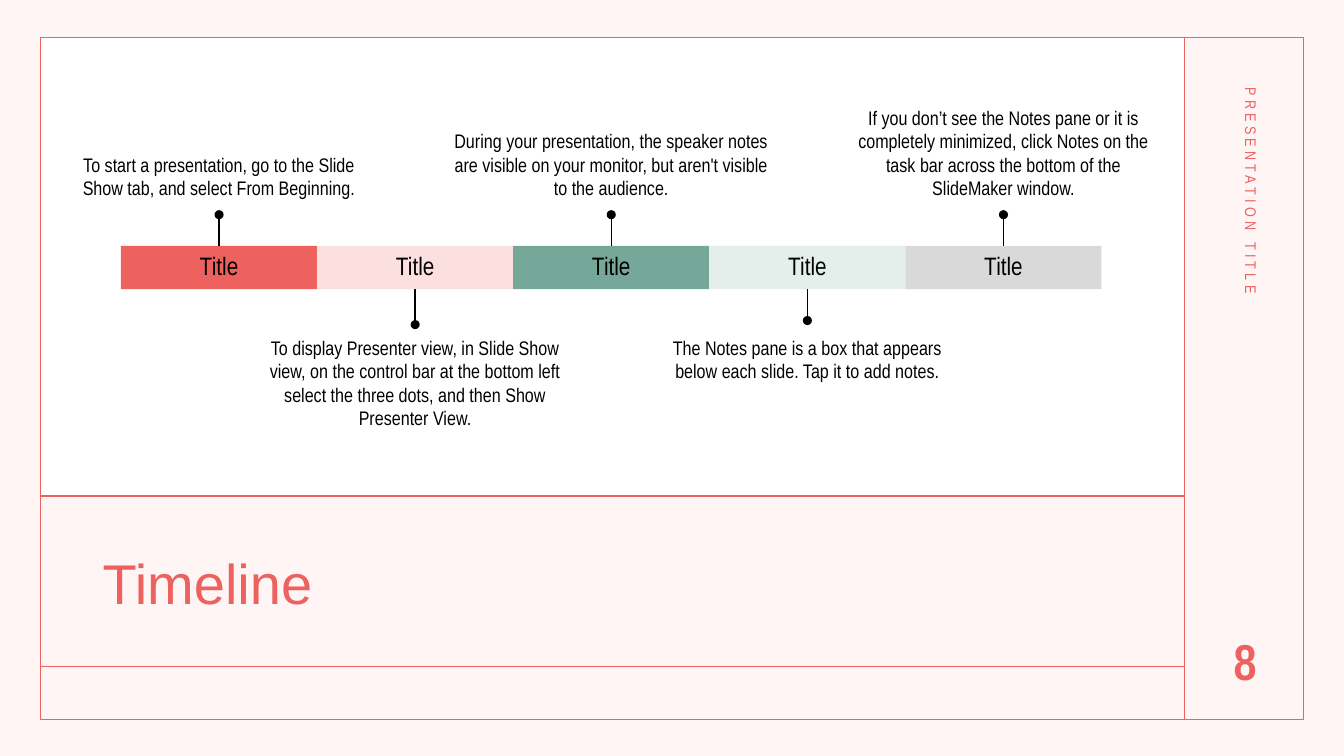
"""Build a slide with a five-step timeline in a ruled frame."""
from lxml import etree
from pptx import Presentation
from pptx.dml.color import RGBColor
from pptx.enum.shapes import MSO_CONNECTOR, MSO_SHAPE
from pptx.enum.text import MSO_ANCHOR, PP_ALIGN
from pptx.oxml.ns import qn
from pptx.util import Inches, Pt

RECT, OVAL = MSO_SHAPE.RECTANGLE, MSO_SHAPE.OVAL
LINE = MSO_CONNECTOR.STRAIGHT
TOP, MID, LOW = MSO_ANCHOR.TOP, MSO_ANCHOR.MIDDLE, MSO_ANCHOR.BOTTOM
LEFT, MIDST = PP_ALIGN.LEFT, PP_ALIGN.CENTER

COLORS = {
    "paper": "FFF5F5", "white": "FFFFFF", "black": "000000",
    "coral": "ED625F", "blush": "FBE0DF", "green": "76A899",
    "mint": "E4EEEB", "gray": "D9D9D9",
}
STEPS = [
    ("coral", 3.24, 2.13,
     "To start a presentation, go to the Slide Show tab, and select From Beginning."),
    ("blush", 3.06, 3.22,
     "To display Presenter view, in Slide Show view, on the control bar at the "
     "bottom left select the three dots, and then Show Presenter View."),
    ("green", 3.24, 2.13,
     "During your presentation, the speaker notes are visible on your monitor, "
     "but aren't visible to the audience."),
    ("mint", 3.24, 3.18,
     "The Notes pane is a box that appears below each slide. Tap it to add notes."),
    ("gray", 3.24, 2.13,
     "If you don’t see the Notes pane or it is completely minimized, click Notes "
     "on the task bar across the bottom of the SlideMaker window."),
]
RULES = [(11.75, 0.37, 11.75, 7.13), (0.41, 4.92, 11.75, 4.92), (0.41, 6.61, 11.75, 6.61)]
START, PITCH, BAR_TOP, BAR_TALL, DOT = 1.2, 1.945, 2.44, 0.43, 0.09


class Painter:
    """Holds the style and the slide being drawn."""

    def __init__(self, slide):
        self.slide = slide
        self.font = "Arial Narrow"
        self.width = Pt(1)
        fill = slide.background.fill
        fill.solid()
        fill.fore_color.rgb = self.color("paper")

    def color(self, name):
        """Return the named colour."""
        return RGBColor.from_string(COLORS[name])

    def shape(self, kind, box, fill=None, line=None):
        """Draw a preset shape."""
        item = self.slide.shapes.add_shape(kind, *map(Inches, box))
        item.shadow.inherit = False
        for part, name in ((item.fill, fill), (item.line.fill, line)):
            if name:
                part.solid()
                part.fore_color.rgb = self.color(name)
            else:
                part.background()
        if line:
            item.line.width = self.width
        return item

    def line(self, ends, color, bar=None, site=0):
        """Draw a straight line, joined to a bar if one is given."""
        item = self.slide.shapes.add_connector(LINE, *map(Inches, ends))
        item.line.color.rgb = self.color(color)
        item.line.width = self.width
        etree.SubElement(item._element.spPr, qn("a:effectLst"))
        if bar is not None:
            item.begin_connect(bar, site)

    def label(self, item, text, size, color="black", align=MIDST, anchor=TOP,
              pad=(0.1, 0.05), lead=1.0, **look):
        """Put formatted text in a shape."""
        frame = item.text_frame
        across, down = map(Inches, pad)
        form = {"word_wrap": True, "vertical_anchor": anchor,
                "margin_left": across, "margin_right": across,
                "margin_top": down, "margin_bottom": down}
        para = frame.paragraphs[0]
        run = para.add_run()
        run.text = text
        run.font.color.rgb = self.color(color)
        font = {"name": self.font, "size": Pt(size), **look}
        for part, values in ((frame, form), (run.font, font),
                             (para, {"alignment": align, "line_spacing": lead})):
            for key, value in values.items():
                setattr(part, key, value)
        return run

    def text(self, box, text, size, turn=0, space=0, **look):
        """Draw a text box."""
        item = self.slide.shapes.add_textbox(*map(Inches, box))
        item.rotation = turn
        run = self.label(item, text, size, **look)
        if space:
            run.font._element.set("spc", str(space * 100))

    def step(self, index, fill, wide, dot, text):
        """Draw one bar of the timeline with its pin and caption."""
        left = START + index * PITCH
        mid = left + PITCH / 2
        below = index % 2 == 1
        bar = self.shape(RECT, (left, BAR_TOP, PITCH, BAR_TALL), fill)
        self.label(bar, "Title", 18, anchor=MID, pad=(0.03, 0), lead=0.9)
        edge = BAR_TOP + BAR_TALL if below else BAR_TOP
        self.line((mid, edge, mid, dot), "black", bar, 2 if below else 0)
        self.shape(OVAL, (mid - DOT / 2, dot - DOT / 2, DOT, DOT), "black")
        self.text((mid - wide / 2, 3.3 if below else 0.5, wide, 1.51), text, 14,
                  anchor=TOP if below else LOW, pad=(0.06, 0.03))


def main():
    """Build and save the slide."""
    deck = Presentation()
    deck.slide_width, deck.slide_height = Inches(13.33), Inches(7.5)
    art = Painter(deck.slides.add_slide(deck.slide_layouts[6]))
    art.shape(RECT, (0.41, 0.37, 11.35, 4.57), "white")
    for ends in RULES:
        art.line(ends, "coral")
    art.shape(RECT, (0.4, 0.37, 12.53, 6.77), line="coral")
    art.text((0.92, 5.25, 10.31, 1.14), "Timeline", 40, color="coral",
             align=LEFT, anchor=MID, lead=0.9, name="Arial")
    for index, step in enumerate(STEPS):
        art.step(index, *step)
    art.text((10.1, 2.82, 4.5, 0.4), "PRESENTATION TITLE", 11, turn=90, space=3,
             color="coral", align=LEFT)
    art.text((11.83, 6.2, 1.04, 0.83), "8", 36, color="coral", bold=True)
    deck.save("out.pptx")


if __name__ == "__main__":
    main()
